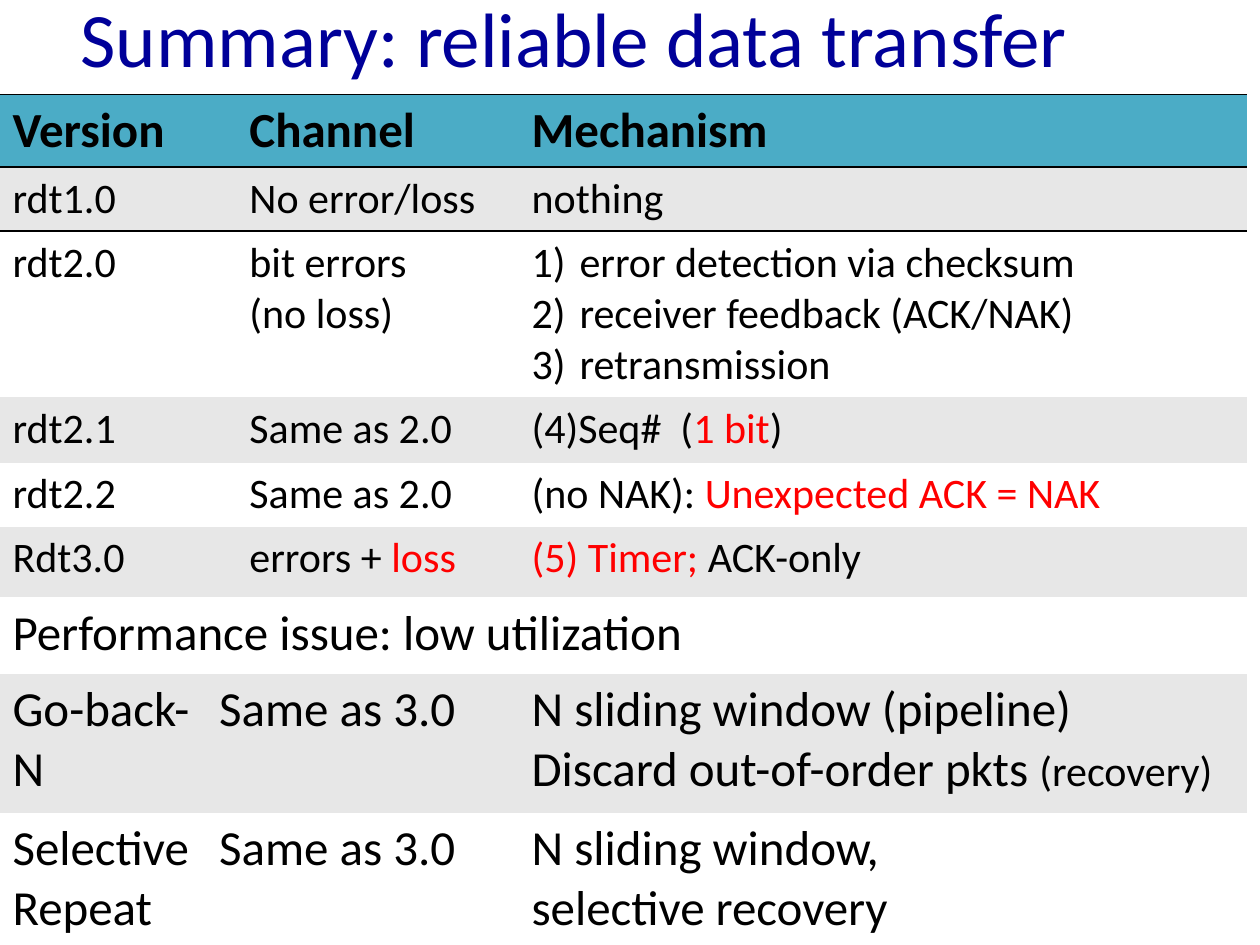
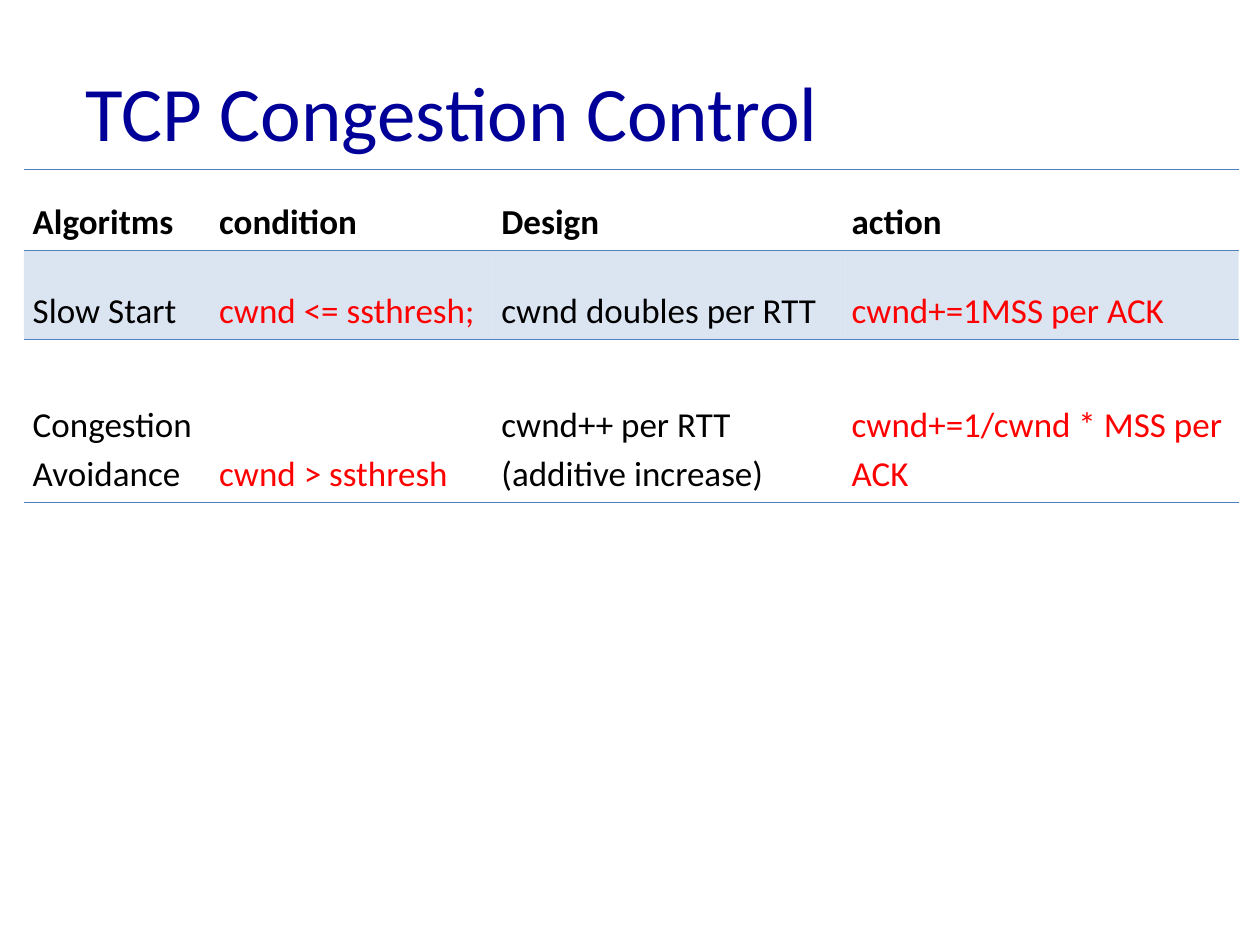
from dataclasses import dataclass
from typing import NamedTuple, Optional

from lxml.etree import SubElement
from pptx import Presentation
from pptx.dml.color import RGBColor as RGB
from pptx.enum.text import MSO_ANCHOR as Anchor, MSO_AUTO_SIZE as AutoSize, PP_ALIGN as Align
from pptx.oxml.ns import qn
from pptx.util import Emu, Inches, Pt

TITLE_ONLY = 5
GRID_COLS, GRID_ROWS = 1000, 750
WIDTH, HEIGHT = Inches(10), Inches(7.5)
NO_STYLE = "{2D5ABB26-0587-4C30-8999-92F81FD0307C}"


@dataclass(frozen=True)
class Theme:
    font: str = "Calibri"
    title: str = "000099"
    text: str = "000000"
    accent: str = "FF0000"
    white: str = "FFFFFF"
    teal: str = "4BACC6"
    grey: str = "E7E7E7"
    blue: str = "4F81BD"
    title_size: int = 44
    large: int = 28
    medium: int = 24
    small: int = 20


THEME = Theme()


class Run(NamedTuple):
    text: str
    color: str = THEME.text
    size: Optional[int] = None


class Cell(NamedTuple):
    """Paragraphs of runs; span counts the grid columns covered."""
    paragraphs: list[list[Run]]
    span: int = 1
    numbered: bool = False


class Row(NamedTuple):
    height: int
    size: int
    cells: list[Cell]


class Fill(NamedTuple):
    color: str
    percent: int = 100


class Place(NamedTuple):
    """Left, top, width and height in grid units."""
    left: int
    top: int
    width: int
    height: int


@dataclass(frozen=True)
class TableLook:
    header: Optional[Fill]
    bands: tuple[Optional[Fill], Optional[Fill]]
    rule_color: str
    rule_width: float
    anchor: Anchor = Anchor.TOP
    side_margin: float = 0.1
    line_spacing: Optional[float] = None


@dataclass(frozen=True)
class TableSlide:
    title: str
    title_place: Place
    left: int
    top: int
    columns: list[int]
    rows: list[Row]
    look: TableLook


def x(cols: int) -> Emu:
    return Emu(int(WIDTH * cols / GRID_COLS))


def y(rows: int) -> Emu:
    return Emu(int(HEIGHT * rows / GRID_ROWS))


def plain(*lines: str, span: int = 1, numbered: bool = False) -> Cell:
    return Cell([[Run(line)] for line in lines], span, numbered)


def mixed(*runs: Run, span: int = 1) -> Cell:
    return Cell([list(runs)], span)


def red(text: str) -> Run:
    return Run(text, THEME.accent)


def set_attrs(target, values: dict) -> None:
    for name, value in values.items():
        setattr(target, name, value)


def add_run(p, run: Run, size: int, bold: bool = False) -> None:
    r = p.add_run()
    r.text = run.text
    set_attrs(r.font, {"name": THEME.font, "size": Pt(run.size or size), "bold": bold})
    r.font.color.rgb = RGB.from_string(run.color)


def number_paragraph(p) -> None:
    pPr = p._p.get_or_add_pPr()
    indent = Inches(0.38)
    pPr.set("marL", str(indent))
    pPr.set("indent", str(-indent))
    SubElement(pPr, qn("a:buAutoNum"), type="arabicParenR")


def add_rule(cell, side: str, look: TableLook) -> None:
    tcPr = cell._tc.get_or_add_tcPr()
    ln = SubElement(tcPr, qn(f"a:ln{side}"), w=str(Pt(look.rule_width)))
    solid = SubElement(ln, qn("a:solidFill"))
    SubElement(solid, qn("a:srgbClr"), val=look.rule_color)


def fill_cell(cell, fill: Optional[Fill]) -> None:
    if fill is None:
        cell.fill.background()
        return
    cell.fill.solid()
    cell.fill.fore_color.rgb = RGB.from_string(fill.color)
    if fill.percent < 100:
        clr = cell._tc.tcPr.find(f"{qn('a:solidFill')}/{qn('a:srgbClr')}")
        SubElement(clr, qn("a:alpha"), val=str(fill.percent * 1000))


def write_cell(cell, content: Cell, size: int, bold: bool, look: TableLook) -> None:
    tf = cell.text_frame
    for i, runs in enumerate(content.paragraphs):
        p = tf.add_paragraph() if i else tf.paragraphs[0]
        if look.line_spacing:
            p.line_spacing = look.line_spacing
        if content.numbered:
            number_paragraph(p)
        for run in runs:
            add_run(p, run, size, bold)


def add_title(s, text: str, place: Place) -> None:
    sp = s.shapes.title
    set_attrs(sp, {"left": x(place.left), "top": y(place.top),
                   "width": x(place.width), "height": y(place.height)})
    tf = sp.text_frame
    set_attrs(tf, {"word_wrap": True, "auto_size": AutoSize.NONE,
                   "vertical_anchor": Anchor.MIDDLE})
    p = tf.paragraphs[0]
    p.alignment = Align.LEFT
    add_run(p, Run(text, THEME.title), THEME.title_size)


def format_row(table, index: int, look: TableLook) -> None:
    """Rules above and below the header and below the last row, bands between."""
    sides = {0: "TB", 1: "T", len(table.rows) - 1: "B"}.get(index, "")
    fill = look.bands[(index - 1) % 2] if index else look.header
    for cell in table.rows[index].cells:
        set_attrs(cell, {"vertical_anchor": look.anchor,
                         "margin_left": Inches(look.side_margin),
                         "margin_right": Inches(look.side_margin),
                         "margin_top": Inches(0.05), "margin_bottom": Inches(0.05)})
        for side in sides:
            add_rule(cell, side, look)
        fill_cell(cell, fill)


def add_grid_table(s, design: TableSlide) -> None:
    rows, columns = design.rows, design.columns
    frame = s.shapes.add_table(len(rows), len(columns), x(design.left), y(design.top),
                               x(sum(columns)), y(sum(row.height for row in rows)))
    table = frame.table
    table._tbl.tblPr.find(qn("a:tableStyleId")).text = NO_STYLE
    for column, width in zip(table.columns, columns):
        column.width = x(width)
    for i, row in enumerate(rows):
        table.rows[i].height = y(row.height)
        format_row(table, i, design.look)
        col = 0
        for content in row.cells:
            cell = table.cell(i, col)
            if content.span > 1:
                cell.merge(table.cell(i, col + content.span - 1))
            write_cell(cell, content, row.size, i == 0, design.look)
            col += content.span


def version_row(height: int, version: str, channel: Cell, mechanism: Cell,
                size: int = THEME.medium) -> Row:
    return Row(height, size, [plain(version, span=2), channel, mechanism])


def window_row(name: Cell, mechanism: Cell) -> Row:
    return Row(110, THEME.large, [name, plain("Same as 3.0", span=2), mechanism])


RELIABLE_TRANSFER = TableSlide(
    title="Summary: reliable data transfer",
    title_place=Place(54, -33, 850, 125),
    left=0, top=75,
    columns=[164, 24, 224, 578],
    rows=[
        version_row(57, "Version", plain("Channel"), plain("Mechanism"), THEME.large),
        version_row(50, "rdt1.0", plain("No error/loss"), plain("nothing")),
        version_row(130, "rdt2.0", plain("bit errors", "(no loss)"),
                    plain("error detection via checksum", "receiver feedback (ACK/NAK)",
                          "retransmission", numbered=True)),
        version_row(52, "rdt2.1", plain("Same as 2.0"),
                    mixed(Run("(4)Seq#  ("), red("1 bit"), Run(")"))),
        version_row(50, "rdt2.2", plain("Same as 2.0"),
                    mixed(Run("(no NAK): "), red("Unexpected ACK = NAK"))),
        version_row(56, "Rdt3.0", mixed(Run("errors + "), red("loss")),
                    mixed(red("(5) Timer; "), Run("ACK-only"))),
        Row(61, THEME.large, [plain("Performance issue: low utilization", span=4)]),
        window_row(plain("Go-back-N"),
                   Cell([[Run("N sliding window (pipeline)")],
                         [Run("Discard out-of-order pkts "),
                          Run("(recovery)", size=THEME.medium)]])),
        window_row(plain("Selective", "Repeat"),
                   plain("N sliding window,", "selective recovery")),
    ],
    look=TableLook(Fill(THEME.teal), (Fill(THEME.grey), Fill(THEME.white)),
                   THEME.text, 0.96),
)

CONGESTION_CONTROL = TableSlide(
    title="TCP Congestion Control",
    title_place=Place(58, 25, 850, 125),
    left=19, top=134,
    columns=[148, 224, 278, 314],
    rows=[
        Row(65, THEME.small, [plain(name) for name in
                              ("Algoritms", "condition", "Design", "action")]),
        Row(70, THEME.small, [plain("Slow Start"), mixed(red("cwnd <= ssthresh;")),
                              plain("cwnd doubles per RTT"),
                              mixed(red("cwnd+=1MSS per ACK"))]),
        Row(130, THEME.small, [plain("Congestion Avoidance"), mixed(red("cwnd > ssthresh")),
                               plain("cwnd++ per RTT", "(additive increase)"),
                               mixed(red("cwnd+=1/cwnd * MSS per ACK"))]),
    ],
    look=TableLook(None, (Fill(THEME.blue, 20), None), THEME.blue, 0.45,
                   Anchor.BOTTOM, 0.07, 1.15),
)


def main() -> None:
    prs = Presentation()
    set_attrs(prs, {"slide_width": WIDTH, "slide_height": HEIGHT})
    for design in (RELIABLE_TRANSFER, CONGESTION_CONTROL):
        s = prs.slides.add_slide(prs.slide_layouts[TITLE_ONLY])
        add_title(s, design.title, design.title_place)
        add_grid_table(s, design)
    prs.save("out.pptx")


if __name__ == "__main__":
    main()
